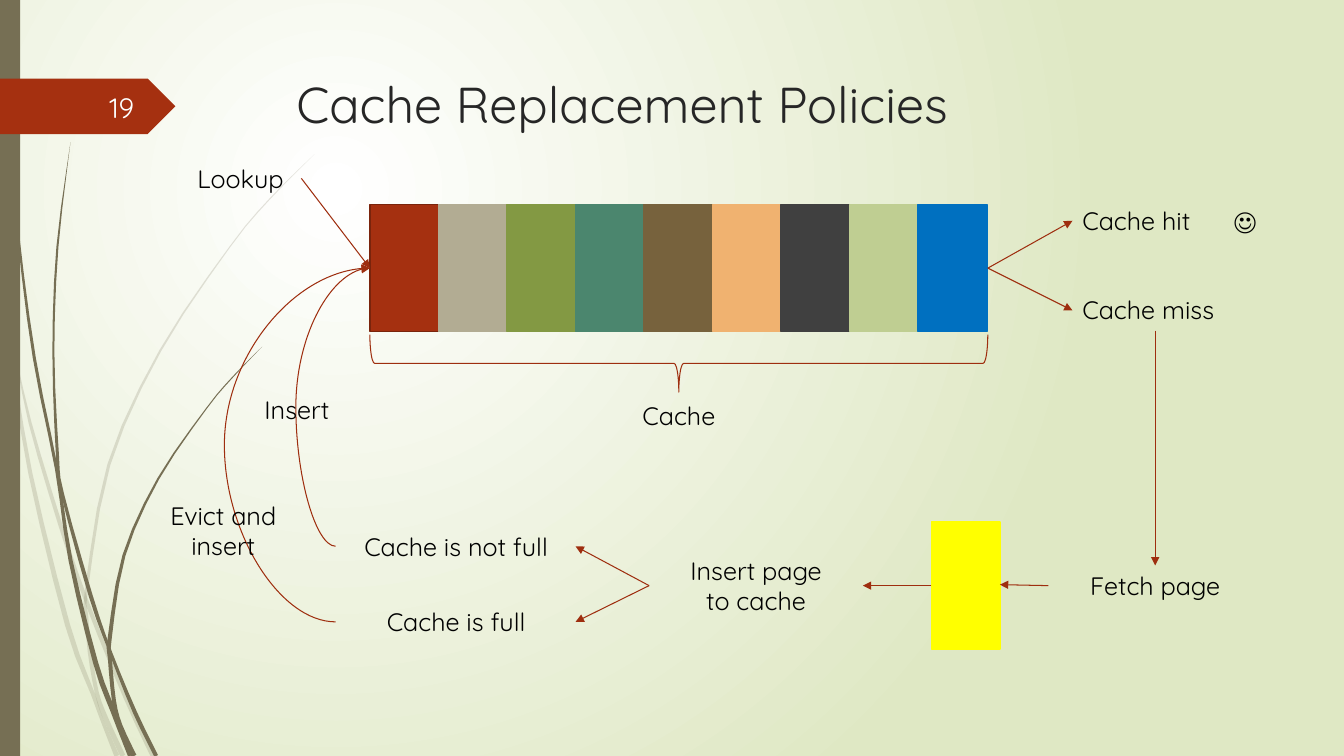
import math

import pptx
import pptx.dml.color
import pptx.enum.shapes
import pptx.enum.text
import pptx.oxml
import pptx.oxml.ns
import pptx.util
from pptx.util import Inches

SHAPE = pptx.enum.shapes.MSO_SHAPE
LINE = pptx.enum.shapes.MSO_CONNECTOR
ALIGN = pptx.enum.text.PP_ALIGN
ANCHOR = pptx.enum.text.MSO_ANCHOR

FONT = "Quicksand"
RED, ARROW, OLIVE = "A53010", "9E2E0F", "766F54"

# Strands of grass: (x, y, thickness) along the middle of each one
PALE_STRANDS = [
    [(0, 2.9, .03), (.1, 3.47, .03), (.3, 4.69, .04), (.67, 6.2, .05),
     (.92, 6.88, .04), (1.01, 7.14, .03), (1.16, 7.5, .05)],
    [(.14, 3.45, 0), (.3, 4.2, .03), (.6, 5.21, .04), (.86, 5.97, .04),
     (1.25, 6.93, .04), (1.52, 7.5, .05)],
    [(3.12, 1.53, 0), (2.68, 1.97, .01), (2.28, 2.45, .01), (1.59, 3.48, .02),
     (1.08, 4.61, .03), (.86, 5.84, .03), (.86, 6.1, .03), (.89, 6.46, .04),
     (.96, 6.87, .04), (1.05, 7.13, .05), (1.22, 7.5, .05)],
]
DARK_STRANDS = [
    [(.04, 0, .01), (.08, 1.1, .01), (.18, 2.32, .02), (.34, 3.55, .03),
     (.56, 4.65, .03), (.7, 5.56, .04), (.95, 6.58, .05), (1.12, 7.05, .05),
     (1.29, 7.5, .04)],
    [(.7, 1.41, 0), (.57, 2.45, .02), (.53, 3.49, .02), (.57, 4.51, .03),
     (.62, 4.9, .03), (.9, 5.91, .04), (1.1, 6.48, .03), (1.34, 7.07, .04),
     (1.55, 7.5, .04)],
    [(2.6, 3.44, 0), (2.31, 3.74, .01), (2.05, 4.05, .01), (1.57, 4.75, .02),
     (1.23, 5.51, .03), (1.09, 6.32, .04), (1.09, 6.53, .04), (1.13, 6.95, .04),
     (1.19, 7.2, .05), (1.33, 7.5, .05)],
]

# Cache pages: (fill, line)
PAGES = [(RED, "7A240C")] + [(c, c) for c in (
    "B2AC93", "839943", "4B866E", "77623D", "F0B270", "404040", "BFCE92", "0070C0")]
PAGE_W, PAGE_H = .68, 1.26
CACHE_X, CACHE_Y = 3.67, 2.03

# Labels: (text, left, top, width, height, alignment)
LABELS = [
    ("Cache", 5.2, 3.92, 3.07, .4, ALIGN.CENTER),
    ("Lookup", 1.86, 1.57, 1.13, .4, ALIGN.LEFT),
    ("Cache miss", 10.64, 2.87, 1.64, .4, ALIGN.LEFT),
    ("Cache hit", 10.64, 1.99, 1.64, .4, ALIGN.LEFT),
    ("☺", 12.14, 1.99, .68, .4, ALIGN.LEFT),
    ("Fetch page", 10.4, 5.61, 2.12, .4, ALIGN.CENTER),
    ("Insert page\nto cache", 6.44, 5.46, 2.12, .71, ALIGN.CENTER),
    ("Cache is not full", 3.33, 5.22, 2.39, .4, ALIGN.CENTER),
    ("Cache is full", 3.33, 5.97, 2.39, .4, ALIGN.CENTER),
    ("Evict and insert", 1.39, 4.91, 1.65, .71, ALIGN.CENTER),
    ("Insert", 2.22, 3.86, 1.45, .4, ALIGN.CENTER),
]

CACHE_IN, CACHE_OUT, INSERT_PAGE = (3.67, 2.66), (9.8, 2.66), (6.44, 5.81)
STRAIGHT_ARROWS = [
    ((2.99, 1.77), CACHE_IN),
    (CACHE_OUT, (10.64, 3.08)),
    (CACHE_OUT, (10.64, 2.19)),
    ((11.46, 3.28), (11.46, 5.61)),
    ((10.4, 5.81), (9.92, 5.8)),
    ((9.24, 5.81), (8.56, 5.81)),
    (INSERT_PAGE, (5.71, 5.42)),
    (INSERT_PAGE, (5.71, 6.17)),
]
# Curved arrows back to the cache: (start, bend in 1/100000 of the width)
CURVED_ARROWS = [((3.33, 5.42), -116000), ((3.33, 6.17), -324500)]


def rgb(value):
    return pptx.dml.color.RGBColor.from_string(value)


def add_xml(parent, xml):
    parent.append(pptx.oxml.parse_xml(
        xml.replace("/>", " " + pptx.oxml.ns.nsdecls("a") + "/>", 1)))


def paint(sp, fill=None, line=None, width=1.25):
    sp.shadow.inherit = False
    if fill:
        sp.fill.solid()
        sp.fill.fore_color.rgb = rgb(fill)
    else:
        sp.fill.background()
    if line:
        sp.line.color.rgb = rgb(line)
        sp.line.width = pptx.util.Pt(width)
    else:
        sp.line.fill.background()


def add_shape(s, kind, box, **colors):
    sp = s.shapes.add_shape(kind, *map(Inches, box))
    paint(sp, **colors)
    return sp


def write(sp, text, size, color, align, anchor=ANCHOR.TOP):
    tf = sp.text_frame
    tf.word_wrap, tf.vertical_anchor = True, anchor
    tf.auto_size = pptx.enum.text.MSO_AUTO_SIZE.NONE
    tf.text = text
    for p in tf.paragraphs:
        p.alignment = align
        p.font.color.rgb = rgb(color)
        for name, value in {"name": FONT, "size": pptx.util.Pt(size)}.items():
            setattr(p.font, name, value)


def add_label(s, text, box, size, color, align, anchor=ANCHOR.TOP):
    write(s.shapes.add_textbox(*map(Inches, box)), text, size, color, align, anchor)


def smooth(points, steps=3):
    """Catmull-Rom curve through the points."""
    ends = [points[0], *points, points[-1]]
    curve = []
    for a, b, c, d in zip(ends, ends[1:], ends[2:], ends[3:]):
        for i in range(steps):
            t = i / steps
            curve.append([(2 * q + (r - o) * t + (2 * o - 5 * q + 4 * r - u) * t ** 2
                           + (3 * q - o - 3 * r + u) * t ** 3) / 2
                          for o, q, r, u in zip(a, b, c, d)])
    return curve + [points[-1]]


def add_strand(s, points, alpha=None):
    mid = smooth(points)
    left, right = [], []
    for i, (x, y, thick) in enumerate(mid):
        before, after = mid[max(i - 1, 0)], mid[min(i + 1, len(mid) - 1)]
        angle = math.atan2(after[1] - before[1], after[0] - before[0])
        dx, dy = -math.sin(angle) * thick / 2, math.cos(angle) * thick / 2
        left.append((Inches(x + dx), Inches(y + dy)))
        right.append((Inches(x - dx), Inches(y - dy)))
    outline = left + right[::-1]
    builder = s.shapes.build_freeform(*outline[0])
    builder.add_line_segments(outline[1:], close=True)
    sp = builder.convert_to_shape()
    paint(sp, OLIVE)
    if alpha:
        color = sp.fill._xPr.find(".//" + pptx.oxml.ns.qn("a:srgbClr"))
        add_xml(color, f'<a:alpha val="{alpha * 1000}"/>')


def add_arrow(s, start, end, bend=None):
    kind = LINE.STRAIGHT if bend is None else LINE.CURVE
    c = s.shapes.add_connector(kind, *map(Inches, start + end))
    c.line.color.rgb = rgb(ARROW)
    c.line.width = pptx.util.Pt(.75)
    add_xml(c.line._get_or_add_ln(), '<a:tailEnd type="triangle"/>')
    add_xml(c._element.spPr, "<a:effectLst/>")
    if bend is not None:
        guides = c._element.spPr.prstGeom.get_or_add_avLst()
        add_xml(guides, f'<a:gd name="adj1" fmla="val {bend}"/>')


def set_background(s):
    fill = s.background.fill
    fill.gradient()
    for stop, (place, color) in zip(fill.gradient_stops, [(0, "FFFFFF"), (1, "DFE8C4")]):
        stop.position = place
        stop.color.rgb = rgb(color)
    grad = s.background._cSld.find(".//" + pptx.oxml.ns.qn("a:gradFill"))
    grad.remove(grad.find(pptx.oxml.ns.qn("a:lin")))
    grad.append(pptx.oxml.parse_xml(
        f'<a:path {pptx.oxml.ns.nsdecls("a")} path="circle">'
        '<a:fillToRect l="50000" t="50000" r="100000" b="100000"/></a:path>'))


def main():
    prs = pptx.Presentation()
    prs.slide_width, prs.slide_height = Inches(40 / 3), Inches(7.5)
    s = prs.slides.add_slide(prs.slide_layouts[5])
    set_background(s)
    for strands, alpha in ((PALE_STRANDS, 20), (DARK_STRANDS, None)):
        for points in strands:
            add_strand(s, points, alpha)
    add_shape(s, SHAPE.RECTANGLE, (0, 0, .2, 7.5), fill=OLIVE)
    add_shape(s, SHAPE.PENTAGON, (0, .78, 1.74, .55), fill=RED)
    add_label(s, "19", (.58, .86, .85, .4), 20, "FEFFFF", ALIGN.RIGHT, ANCHOR.MIDDLE)

    title = s.shapes.title
    for name, value in zip(("left", "top", "width", "height"), (2.84, .68, 9.75, 1.4)):
        setattr(title, name, Inches(value))
    write(title, "Cache Replacement Policies", 36, "262626", ALIGN.LEFT)

    for i, (fill, line) in enumerate(PAGES):
        box = (CACHE_X + i * PAGE_W, CACHE_Y, PAGE_W, PAGE_H)
        add_shape(s, SHAPE.RECTANGLE, box, fill=fill, line=line)
    add_shape(s, SHAPE.RECTANGLE, (9.24, 5.18, PAGE_W, PAGE_H), fill="FFFF00", line="FFFF00")
    brace = add_shape(s, SHAPE.LEFT_BRACE, (6.45, .54, .57, 6.13), line=ARROW, width=.75)
    brace.rotation = 270

    for start, end in STRAIGHT_ARROWS:
        add_arrow(s, start, end)
    for start, bend in CURVED_ARROWS:
        add_arrow(s, start, CACHE_IN, bend)
    for text, *box, align in LABELS:
        add_label(s, text, box, 18, "000000", align)
    prs.save("out.pptx")


if __name__ == "__main__":
    main()
